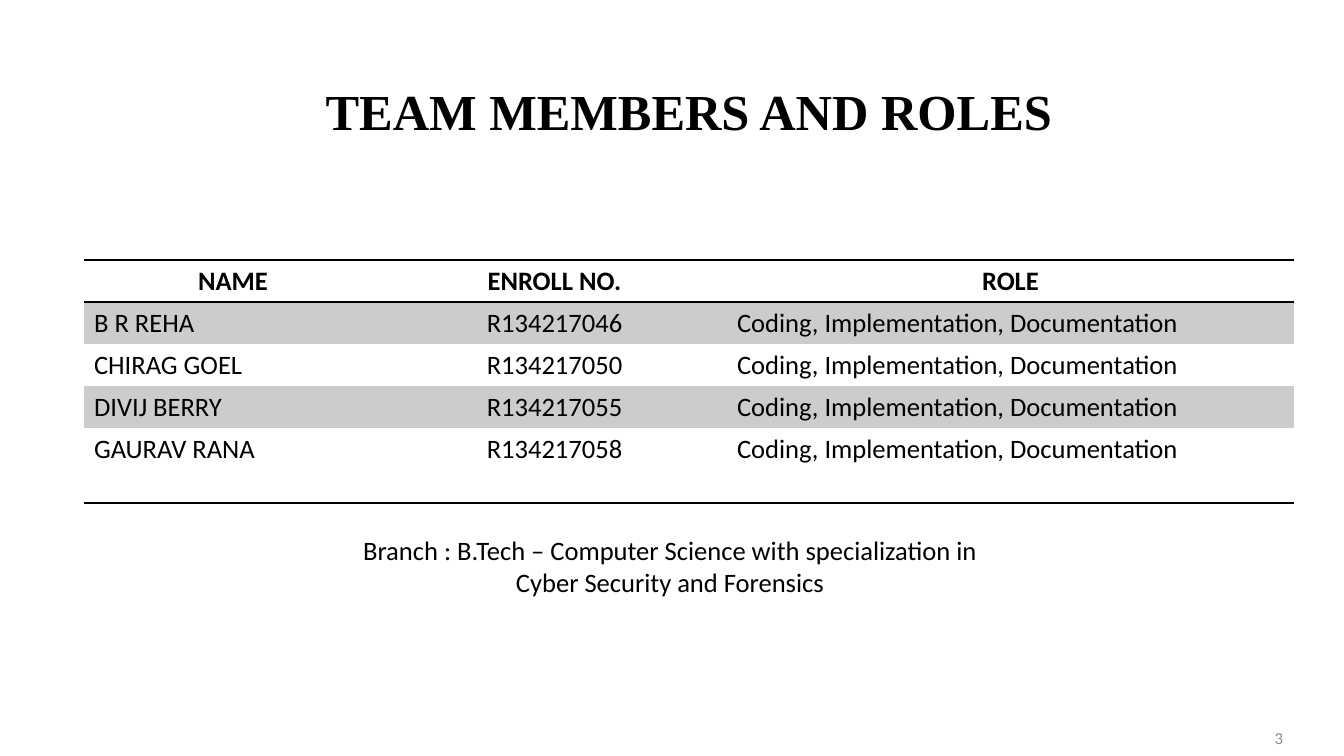
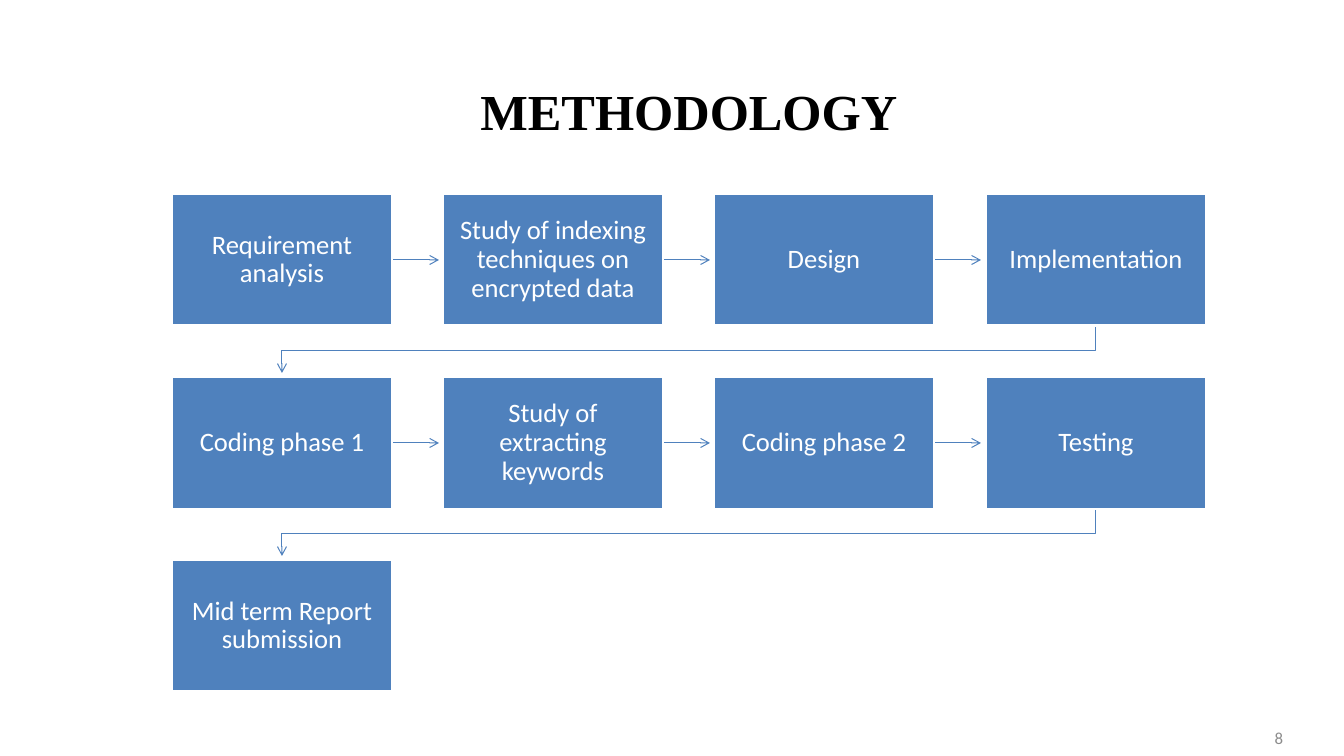
from lxml import etree
from pptx import Presentation
from pptx.dml.color import RGBColor
from pptx.enum.shapes import MSO_CONNECTOR, MSO_SHAPE
from pptx.enum.text import MSO_ANCHOR, PP_ALIGN
from pptx.oxml.ns import qn
from pptx.util import Pt

LEFT, CENTER, RIGHT = PP_ALIGN.LEFT, PP_ALIGN.CENTER, PP_ALIGN.RIGHT
MIDDLE = MSO_ANCHOR.MIDDLE
RECTANGLE = MSO_SHAPE.RECTANGLE
STRAIGHT = MSO_CONNECTOR.STRAIGHT

PX = 914400 / 100.8
COLORS = {
    name: RGBColor.from_string(value)
    for name, value in {
        "black": "000000",
        "white": "FFFFFF",
        "band": "CCCCCC",
        "blue": "4F81BD",
        "gray": "8C8C8C",
    }.items()
}
NO_TABLE_STYLE = "{2D5ABB26-0587-4C30-8999-92F81FD0307C}"


def px(*lengths):
    return [round(length * PX) for length in lengths]


def write(frame, text, align, size=19, color="black", bold=False, font="Calibri"):
    frame.text = text
    frame.word_wrap = True
    para = frame.paragraphs[0]
    para.alignment = align
    span = para.runs[0].font
    span.name, span.size, span.bold = font, Pt(size), bold
    span.color.rgb = COLORS[color]


deck = Presentation()
deck.slide_width, deck.slide_height = px(1344, 756)

# Shared title and page number
pages = []
for title, number in [("TEAM MEMBERS AND ROLES", "3"), ("METHODOLOGY", "8")]:
    page = deck.slides.add_slide(deck.slide_layouts[5])
    heading = page.shapes.title
    heading.left, heading.top, heading.width, heading.height = px(84, 47, 1210, 126)
    heading.text_frame.vertical_anchor = MIDDLE
    write(heading.text_frame, title, CENTER, 36, bold=True, font="Times New Roman")
    footer = page.shapes.add_textbox(*px(980, 718, 313, 40))
    footer.text_frame.vertical_anchor = MIDDLE
    write(footer.text_frame, number, RIGHT, 12, "gray")
    pages.append(page)
team_page, method_page = pages

# Team table
ROLE = "Coding, Implementation, Documentation"
members = [
    ("NAME", "ENROLL NO.", "ROLE"),
    ("B R REHA", "R134217046", ROLE),
    ("CHIRAG GOEL", "R134217050", ROLE),
    ("DIVIJ BERRY", "R134217055", ROLE),
    ("GAURAV RANA", "R134217058", ROLE),
]
column_widths = px(298, 345, 567)
row_heights = px(42, 42, 42, 42, 75)
last_row = len(members) - 1
table = team_page.shapes.add_table(
    len(members), len(column_widths), *px(84, 260, 1210, 243)
).table
table.first_row = table.horz_banding = False
table._tbl.tblPr.find(qn("a:tableStyleId")).text = NO_TABLE_STYLE
for column, width in zip(table.columns, column_widths):
    column.width = width
for row, height in zip(table.rows, row_heights):
    row.height = height

for row_index, values in enumerate(members):
    is_header = row_index == 0
    sides = {0: ["lnT", "lnB"], last_row: ["lnB"]}.get(row_index, [])
    for column_index, value in enumerate(values):
        cell = table.cell(row_index, column_index)
        align = CENTER if is_header or column_index == 1 else LEFT
        write(cell.text_frame, value, align, bold=is_header)
        for side in sides:
            border = etree.SubElement(
                cell._tc.get_or_add_tcPr(), qn(f"a:{side}"), w=str(Pt(1))
            )
            fill = etree.SubElement(border, qn("a:solidFill"))
            etree.SubElement(fill, qn("a:srgbClr"), val=str(COLORS["black"]))
        if row_index % 2:
            cell.fill.solid()
            cell.fill.fore_color.rgb = COLORS["band"]
        else:
            cell.fill.background()

# Branch line
branch = team_page.shapes.add_textbox(*px(334, 529, 672, 75))
write(
    branch.text_frame,
    "Branch : B.Tech – Computer Science with specialization in "
    "Cyber Security and Forensics",
    CENTER,
)

# Methodology steps
steps = [
    "Requirement analysis",
    "Study of indexing techniques on encrypted data",
    "Design",
    "Implementation",
    "Coding phase 1",
    "Study of extracting keywords",
    "Coding phase 2",
    "Testing",
    "Mid term Report submission",
]
PER_ROW = 4
GRID_LEFT, GRID_TOP = 172, 194
BOX_WIDTH, BOX_HEIGHT = 220, 132
COLUMN_SPAN, ROW_PITCH = 814, 183
ARROW_LENGTH, ELBOW_DROP = 47, 25

boxes, corners = [], []
for index, step in enumerate(steps):
    row, column = divmod(index, PER_ROW)
    left = GRID_LEFT + COLUMN_SPAN * column // (PER_ROW - 1)
    top = GRID_TOP + ROW_PITCH * row
    box = method_page.shapes.add_shape(
        RECTANGLE, *px(left, top, BOX_WIDTH, BOX_HEIGHT)
    )
    box.shadow.inherit = False
    box.fill.solid()
    box.fill.fore_color.rgb = COLORS["blue"]
    box.line.color.rgb = COLORS["white"]
    box.line.width = Pt(2)
    frame = box.text_frame
    frame.vertical_anchor = MIDDLE
    frame.margin_left, frame.margin_right = px(15, 15)
    frame.margin_top, frame.margin_bottom = px(15, 15)
    write(frame, step, CENTER, color="white")
    frame.paragraphs[0].line_spacing = 0.9
    boxes.append(box)
    corners.append((left, top))

# Arrows between steps, placed behind the boxes
for index, (left, top) in enumerate(corners[:-1]):
    if (index + 1) % PER_ROW:
        start, middle = left + BOX_WIDTH, top + BOX_HEIGHT // 2
        arrow = method_page.shapes.add_connector(
            STRAIGHT, *px(start, middle, start + ARROW_LENGTH, middle)
        )
        arrow.begin_connect(boxes[index], 3)
        etree.SubElement(arrow._element.spPr, qn("a:effectLst"))
    else:
        start, bottom = left + BOX_WIDTH // 2, top + BOX_HEIGHT
        end = GRID_LEFT + BOX_WIDTH // 2
        outline = method_page.shapes.build_freeform(start, bottom, scale=PX)
        outline.add_line_segments(
            [
                (start, bottom + ELBOW_DROP),
                (end, bottom + ELBOW_DROP),
                (end, bottom + ARROW_LENGTH),
            ],
            close=False,
        )
        arrow = outline.convert_to_shape()
        arrow.fill.background()
        arrow.shadow.inherit = False
    arrow.line.color.rgb = COLORS["blue"]
    arrow.line.width = Pt(0.75)
    line = arrow._element.spPr.find(qn("a:ln"))
    etree.SubElement(line, qn("a:tailEnd"), type="arrow")
    boxes[0]._element.addprevious(arrow._element)

deck.save("out.pptx")
